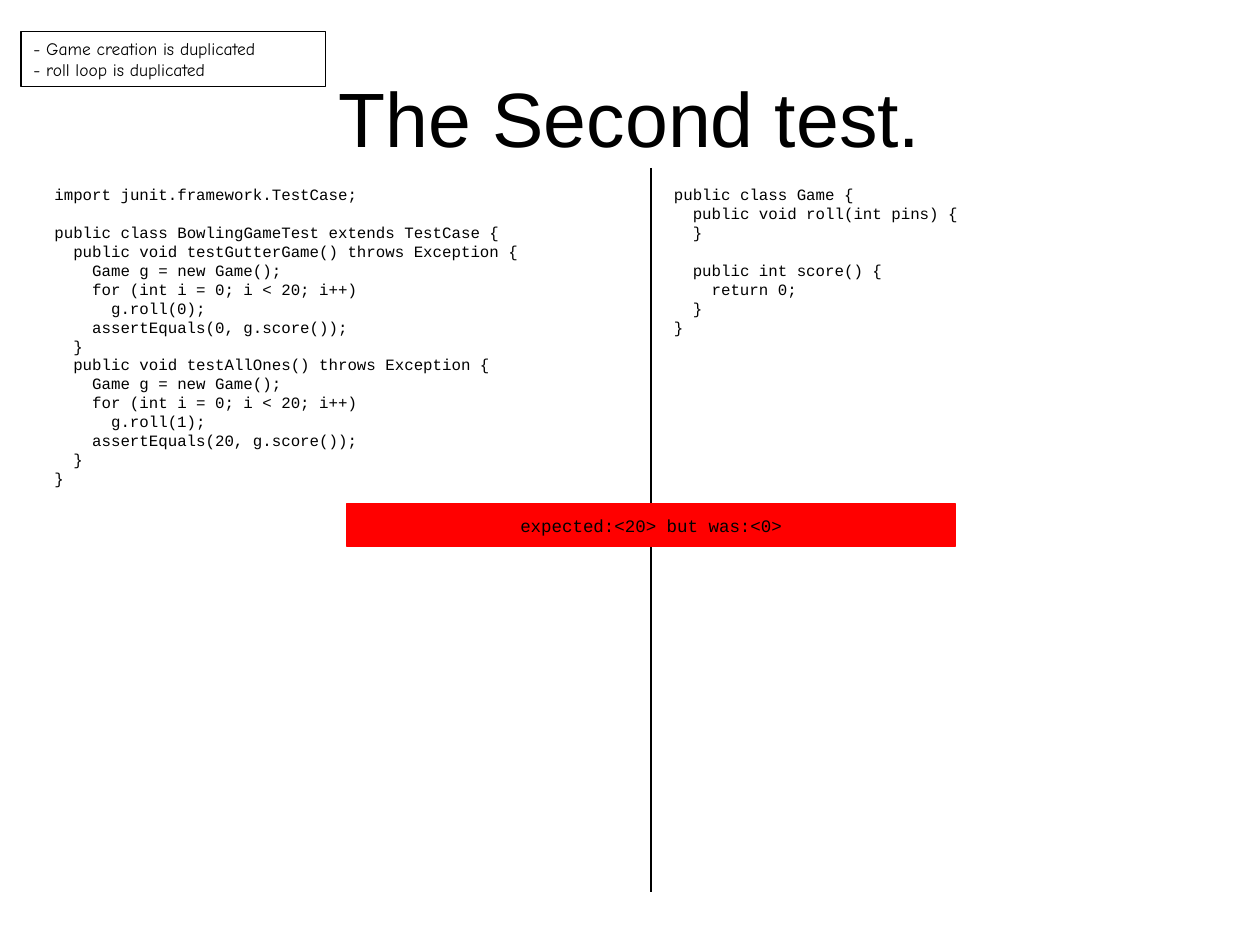
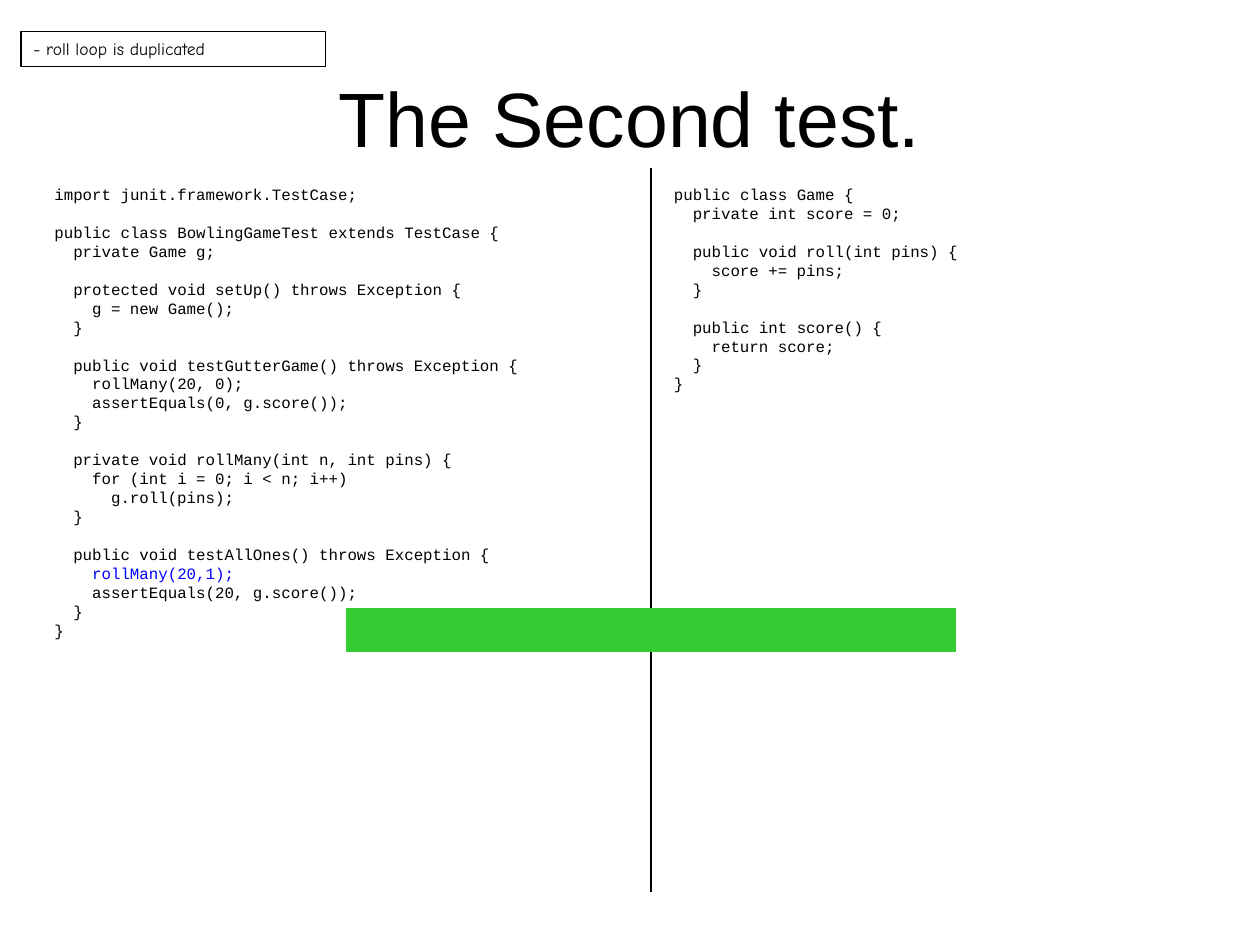
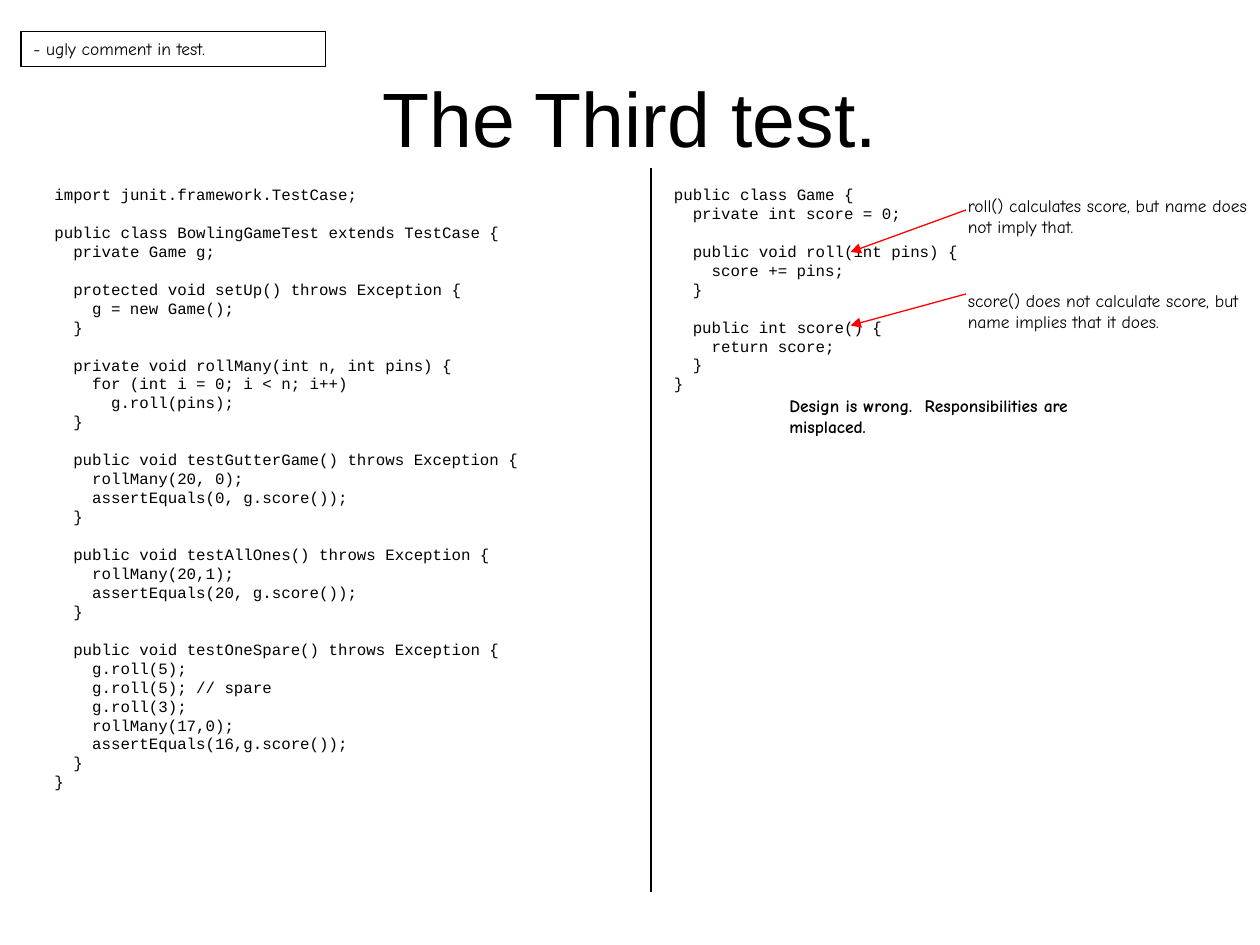
from lxml import etree
from pptx import Presentation
from pptx.dml.color import RGBColor
from pptx.enum import shapes, text
from pptx.oxml import ns
from pptx.util import Pt

# Shared look
BLACK, RED, GREEN, BLUE = "000000", "FF0000", "33CC33", "0000FF"
TITLE = dict(name="Arial", size=Pt(44))
CODE = dict(name="Courier New", size=Pt(9))
NOTE = dict(name="Comic Neue", size=Pt(10))
BAR = dict(name="Courier New", size=Pt(10))
CODE_LINE = 10.82   # line pitch of a listing
CODE_INDENT = 10.8  # width of two characters
CODE_TOP, CODE_WIDTH = 102, 318
NOTE_WIDTH = 174
LEFT, CENTER = text.PP_ALIGN.LEFT, text.PP_ALIGN.CENTER

# Java members used by the listings
FIELD = "  private Game g;"
SET_UP = """\
  protected void setUp() throws Exception {
    g = new Game();
  }"""
ROLL_MANY = """\
  private void rollMany(int n, int pins) {
    for (int i = 0; i < n; i++)
      g.roll(pins);
  }"""
ONE_SPARE = """\
  public void testOneSpare() throws Exception {
    g.roll(5);
    g.roll(5); // spare
    g.roll(3);
    rollMany(17,0);
    assertEquals(16,g.score());
  }"""
FIRST_GAME = """\
public class Game {
  public void roll(int pins) {
  }

  public int score() {
    return 0;
  }
}"""
SCORING_GAME = """\
public class Game {
  private int score = 0;

  public void roll(int pins) {
    score += pins;
  }

  public int score() {
    return score;
  }
}"""


def loop_test(name, pins, total):
    return f"""\
  public void {name}() throws Exception {{
    Game g = new Game();
    for (int i = 0; i < 20; i++)
      g.roll({pins});
    assertEquals({total}, g.score());
  }}"""


def roll_many_test(name, args, total):
    return f"""\
  public void {name}() throws Exception {{
    rollMany({args});
    assertEquals({total}, g.score());
  }}"""


GUTTER = roll_many_test("testGutterGame", "20, 0", 0)
ALL_ONES = roll_many_test("testAllOnes", "20,1", 20)


def test_class(*members):
    return ("import junit.framework.TestCase;\n\n"
            "public class BowlingGameTest extends TestCase {\n"
            + "\n\n".join(members) + "\n}")


# Helpers
def rgb(color):
    return RGBColor.from_string(color)


def style(font, fmt, color=BLACK):
    for key, value in fmt.items():
        setattr(font, key, value)
    font.color.rgb = rgb(color)


def write(p, line, fmt, color=BLACK, align=LEFT):
    p.alignment = align
    r = p.add_run()
    r.text = line
    style(r.font, fmt, color)


def paragraphs(tf, count):
    return [tf.paragraphs[0]] + [tf.add_paragraph() for _ in range(count - 1)]


def text_box(slide, x, y, w, h):
    sp = slide.shapes.add_textbox(Pt(x), Pt(y), Pt(w), Pt(h))
    tf = sp.text_frame
    tf.word_wrap = True
    tf.auto_size = text.MSO_AUTO_SIZE.SHAPE_TO_FIT_TEXT
    return tf


def rectangle(slide, x, y, w, h, line, fill=None):
    sp = slide.shapes.add_shape(shapes.MSO_SHAPE.RECTANGLE,
                                Pt(x), Pt(y), Pt(w), Pt(h))
    sp.shadow.inherit = False
    if fill:
        sp.fill.solid()
        sp.fill.fore_color.rgb = rgb(fill)
    else:
        sp.fill.background()
    sp.line.color.rgb = rgb(line)
    sp.line.width = Pt(0.75)
    return sp


# Kinds of element
def add_title(slide, title):
    sp = slide.shapes.title
    for key, value in dict(left=36, top=21.6, width=648, height=90).items():
        setattr(sp, key, Pt(value))
    sp.text_frame.vertical_anchor = text.MSO_ANCHOR.MIDDLE
    write(sp.text_frame.paragraphs[0], title, TITLE, align=CENTER)


def add_code(slide, x, source, highlight=None):
    """Empty source lines become space before, leading blanks become indents."""
    lines = source.split("\n")
    tf = text_box(slide, x, CODE_TOP, CODE_WIDTH, len(lines) * CODE_LINE + 7.2)
    shown = [(line, i > 0 and not lines[i - 1])
             for i, line in enumerate(lines) if line]
    for p, (line, gap) in zip(paragraphs(tf, len(shown)), shown):
        code = line.lstrip()
        depth = (len(line) - len(code)) // 2
        p.line_spacing = Pt(CODE_LINE)
        p.space_before = Pt(CODE_LINE if gap else 0)
        pPr = p._p.get_or_add_pPr()
        pPr.set("marL", str(Pt(depth * CODE_INDENT)))
        pPr.set("indent", "0")
        write(p, code, CODE, BLUE if code == highlight else BLACK)


def add_line(slide, x1, y1, x2, y2, color=BLACK, arrow=False):
    c = slide.shapes.add_connector(shapes.MSO_CONNECTOR.STRAIGHT,
                                   Pt(x1), Pt(y1), Pt(x2), Pt(y2))
    c.line.color.rgb = rgb(color)
    c.line.width = Pt(0.75)
    if arrow:
        etree.SubElement(c.line._get_or_add_ln(), ns.qn("a:tailEnd"),
                         type="triangle")
    etree.SubElement(c._element.spPr, ns.qn("a:effectLst"))


def add_smells(slide, *smells):
    sp = rectangle(slide, 12, 18, NOTE_WIDTH, 8.6 + 11.5 * len(smells), BLACK)
    tf = sp.text_frame
    tf.word_wrap = True
    tf.auto_size = text.MSO_AUTO_SIZE.SHAPE_TO_FIT_TEXT
    tf.vertical_anchor = text.MSO_ANCHOR.TOP
    for p, smell in zip(paragraphs(tf, len(smells)), smells):
        write(p, "- " + smell, NOTE)


def add_result_bar(slide, y, color, message=None):
    sp = rectangle(slide, 198, y, 348, 24, color, color)
    if message:
        tf = sp.text_frame
        tf.word_wrap = False
        tf.vertical_anchor = text.MSO_ANCHOR.MIDDLE
        write(tf.paragraphs[0], message, BAR, align=CENTER)


def add_remark(slide, x, y, remark, **extra):
    tf = text_box(slide, x, y, NOTE_WIDTH, 31)
    write(tf.paragraphs[0], remark, {**NOTE, **extra})


def add_code_slide(prs, title, tests, game, smells, highlight=None):
    slide = prs.slides.add_slide(prs.slide_layouts[5])
    add_title(slide, title)
    add_code(slide, 24, tests, highlight)
    add_line(slide, 372, 96, 372, 510)
    add_code(slide, 378, game)
    add_smells(slide, *smells)
    return slide


def main():
    prs = Presentation()
    prs.slide_width, prs.slide_height = Pt(720), Pt(540)

    # Second test, failing
    slide = add_code_slide(
        prs, "The Second test.",
        test_class(loop_test("testGutterGame", 0, 0),
                   loop_test("testAllOnes", 1, 20)).replace("\n\n  public", "\n  public", 1),
        FIRST_GAME, ["Game creation is duplicated", "roll loop is duplicated"])
    add_result_bar(slide, 288, RED, "expected:<20> but was:<0>")

    # Second test, passing
    slide = add_code_slide(
        prs, "The Second test.",
        test_class(FIELD, SET_UP, GUTTER, ROLL_MANY, ALL_ONES),
        SCORING_GAME, ["roll loop is duplicated"], "rollMany(20,1);")
    add_result_bar(slide, 348, GREEN)

    # Third test, with remarks on the design
    slide = add_code_slide(
        prs, "The Third test.",
        test_class(FIELD, SET_UP, ROLL_MANY, GUTTER, ALL_ONES, ONE_SPARE),
        SCORING_GAME, ["ugly comment in test."])
    for start, end, top, remark in [
            (120, 144, 108,
             "roll() calculates score, but name does not imply that."),
            (168, 186, 162,
             "score() does not calculate score, but name implies that it does.")]:
        add_line(slide, 552, start, 486, end, RED, arrow=True)
        add_remark(slide, 546, top, remark)
    add_remark(slide, 444, 222,
               "Design is wrong.  Responsibilities are misplaced.", bold=True)

    prs.save("out.pptx")


if __name__ == "__main__":
    main()
